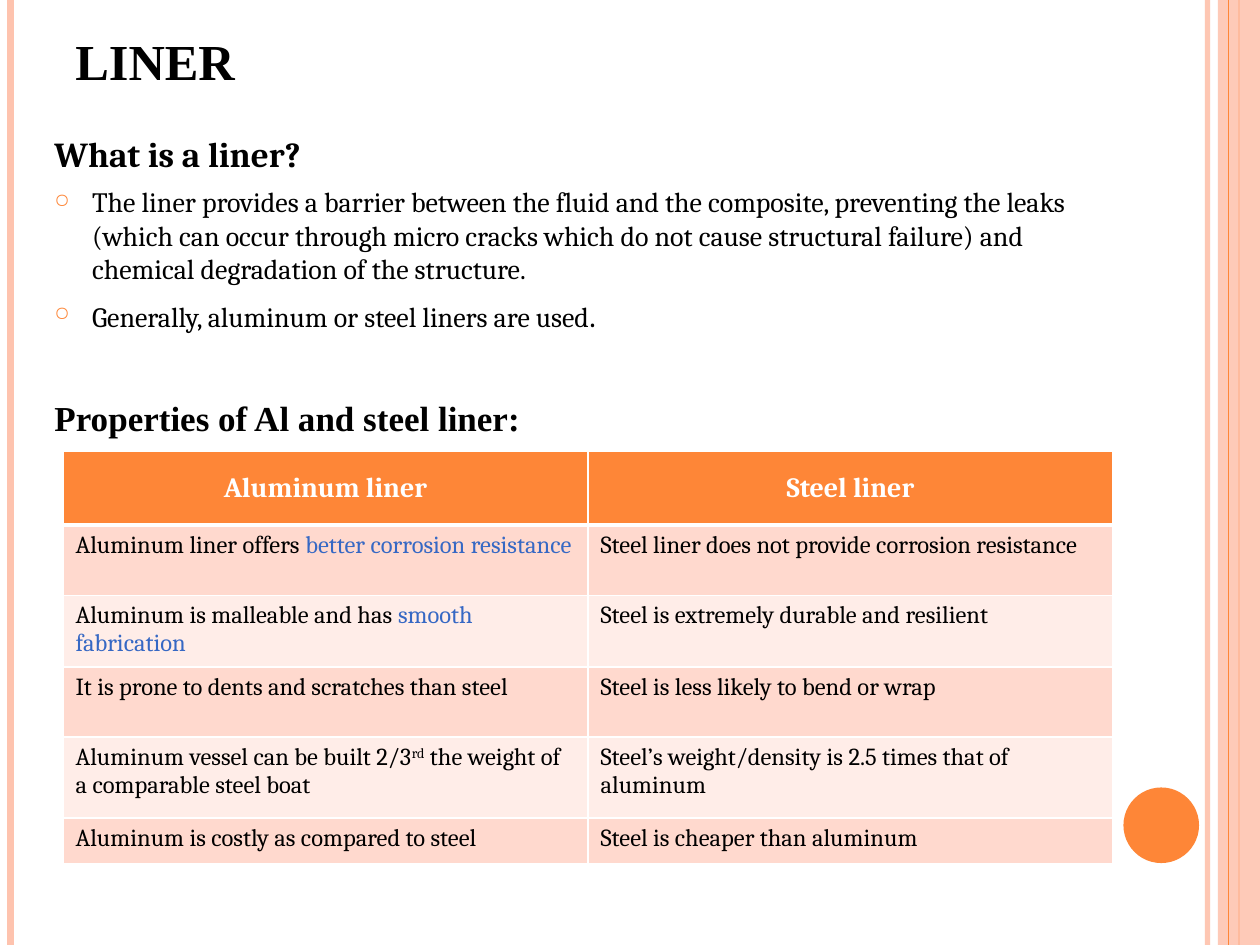
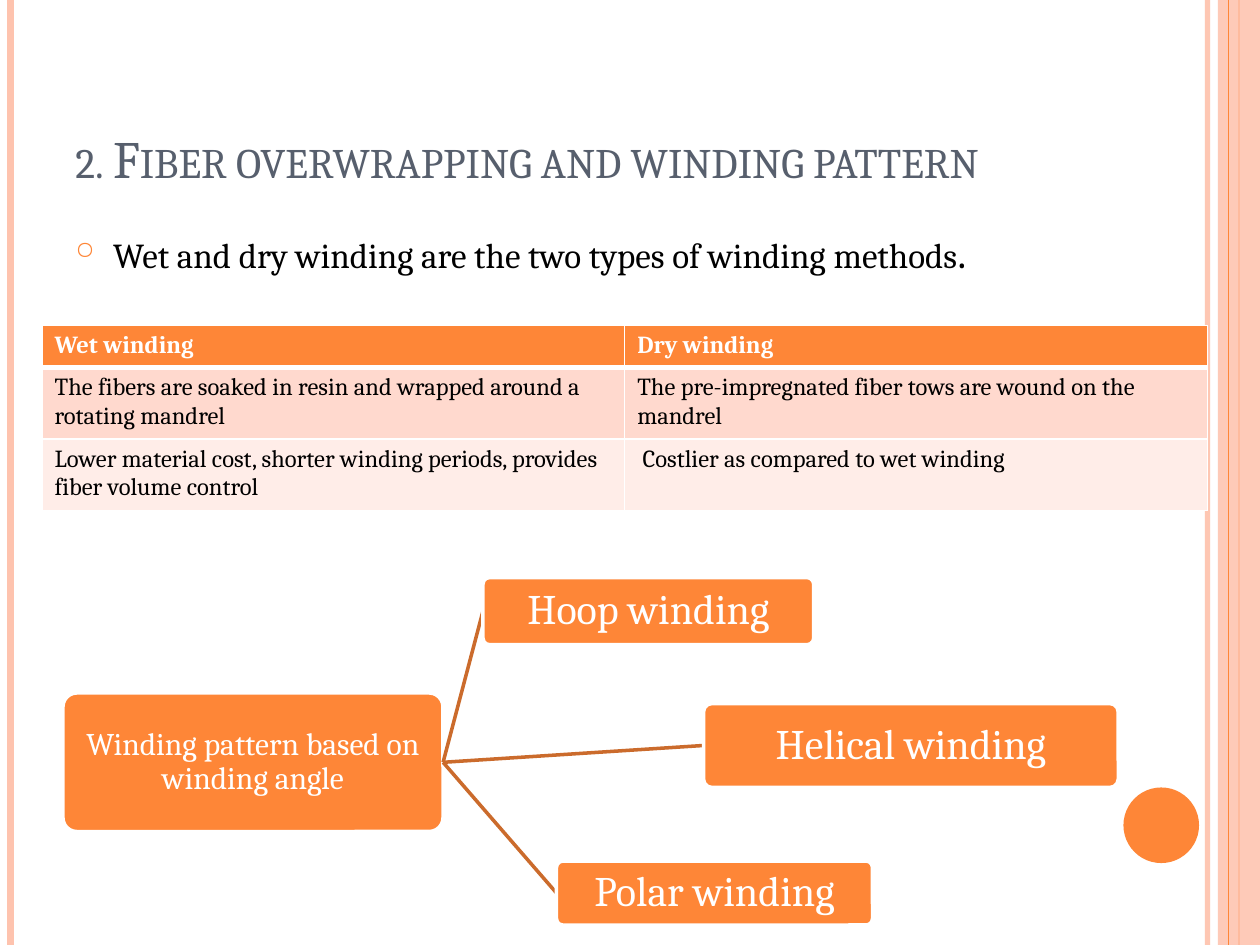
from dataclasses import dataclass

from lxml import etree
from pptx import Presentation, util as u
from pptx.dml.color import RGBColor
from pptx.enum import shapes, text
from pptx.oxml.ns import qn

COLS, ROWS = 120, 90


@dataclass(frozen=True)
class Theme:
    main: str = "FE8637"
    pale: str = "FEC3AE"
    wire: str = "CB6B2C"
    ink: str = "000000"
    slate: str = "575F6D"
    blue: str = "3668C4"
    white: str = "FFFFFF"
    bands: tuple = ("FFEDE8", "FFD9CE")
    face: str = "Cambria"
    roman: str = "Times New Roman"
    cell: int = 14
    body: int = 16
    note: int = 18
    head: int = 20
    large: int = 24
    title: int = 30
    top: int = 36


def tag(parent, name, **attrs):
    return etree.SubElement(parent, qn(name), **attrs)


def fade(item, share):
    """Make the colour of a shape or line partly opaque, in percent."""
    tint = next(item._element.iter(qn("a:srgbClr")))
    tag(tint, "a:alpha", val=str(share * 1000))


class Deck:
    """Holds the theme and the current slide; lengths are grid columns and rows."""

    def __init__(self, theme):
        self.theme = theme
        self.prs = Presentation()
        self.prs.slide_width, self.prs.slide_height = u.Inches(10), u.Inches(7.5)
        self.slide = None

    def x(self, cols):
        return u.Emu(round(self.prs.slide_width * cols / COLS))

    def y(self, rows):
        return u.Emu(round(self.prs.slide_height * rows / ROWS))

    def area(self, left, top, width, height):
        return self.x(left), self.y(top), self.x(width), self.y(height)

    def page(self):
        t = self.theme
        self.slide = self.prs.slides.add_slide(self.prs.slide_layouts[6])
        fade(self.rule(115, t.pale, 3), 93)
        self.rule(1, t.pale, 4.5)
        self.rule(118, t.main, 1.5)
        fade(self.shape(shapes.MSO_SHAPE.RECTANGLE, (116, 0, 4, ROWS), t.pale), 87)
        self.rule(117, t.main, 0.75)
        self.shape(shapes.MSO_SHAPE.OVAL, (107, 75, 7.2, 7.2), t.main)

    def line(self, start, end, color, width):
        line = self.slide.shapes.add_connector(
            shapes.MSO_CONNECTOR.STRAIGHT, self.x(start[0]), self.y(start[1]),
            self.x(end[0]), self.y(end[1]))
        line.line.color.rgb = RGBColor.from_string(color)
        line.line.width = u.Pt(width)
        tag(line._element.spPr, "a:effectLst")
        return line

    def rule(self, col, color, width):
        return self.line((col, 0), (col, ROWS), color, width)

    def shape(self, kind, area, fill, edge=None):
        item = self.slide.shapes.add_shape(kind, *self.area(*area))
        item.shadow.inherit = False
        item.fill.solid()
        item.fill.fore_color.rgb = RGBColor.from_string(fill)
        if edge:
            item.line.color.rgb = RGBColor.from_string(edge)
            item.line.width = u.Pt(2)
        else:
            item.line.fill.background()
        return item

    def style(self, font, size=None, color=None, bold=None, face=None):
        if size:
            font.size = u.Pt(size)
        if color:
            font.color.rgb = RGBColor.from_string(color)
        if bold is not None:
            font.bold = bold
        if face:
            font.name = face

    def put(self, para, parts, size, color=None, bold=False, face=None):
        """Fill a paragraph; parts is a string or (text, changes) pairs."""
        t = self.theme
        self.style(para.font, size, color or t.ink, bold, face or t.face)
        pairs = [(parts, {})] if isinstance(parts, str) else parts
        for words, changes in pairs:
            run = para.add_run()
            run.text = words
            attrs = run._r.get_or_add_rPr()
            for key in ("cap", "baseline"):
                if key in changes:
                    attrs.set(key, changes[key])
            self.style(run.font, **{k: v for k, v in changes.items()
                                    if k not in ("cap", "baseline")})

    def frame(self, area):
        frame = self.slide.shapes.add_textbox(*self.area(*area)).text_frame
        frame.word_wrap = True
        return frame

    def title(self, words, area, **look):
        frame = self.frame(area)
        frame.vertical_anchor = text.MSO_ANCHOR.BOTTOM
        self.put(frame.paragraphs[0], [(words, {"cap": "small"})], **look)

    def bullet(self, para):
        props = para._p.get_or_add_pPr()
        indent = u.Inches(0.3)
        props.set("marL", str(indent))
        props.set("indent", str(-indent))
        tag(tag(props, "a:buClr"), "a:srgbClr", val=self.theme.main)
        tag(props, "a:buSzPct", val="70000")
        tag(props, "a:buChar", char="○")

    def body(self, area, items):
        """Set (parts, bulleted, space before, look) items as paragraphs."""
        frame = self.frame(area)
        for i, (parts, dot, gap, look) in enumerate(items):
            para = frame.add_paragraph() if i else frame.paragraphs[0]
            para.space_before = u.Pt(gap)
            if dot:
                self.bullet(para)
            self.put(para, parts, **look)

    def border(self, cell, row):
        props = cell._tc.get_or_add_tcPr()
        thick = {"a:lnB": row == 0, "a:lnT": row == 1}
        for side in ("a:lnL", "a:lnR", "a:lnT", "a:lnB"):
            width = u.Pt(3 if thick.get(side) else 1)
            edge = tag(props, side, w=str(width))
            tag(tag(edge, "a:solidFill"), "a:srgbClr", val=self.theme.white)

    def table(self, left, top, width, heights, rows, size, centred=False):
        t = self.theme
        count = len(rows[0])
        grid = self.slide.shapes.add_table(
            len(rows), count, *self.area(left, top, width, sum(heights))).table
        grid.horz_banding = False
        for col in grid.columns:
            col.width = self.x(width / count)
        for r, (height, row) in enumerate(zip(heights, rows)):
            grid.rows[r].height = self.y(height)
            for c, parts in enumerate(row):
                cell = grid.cell(r, c)
                self.border(cell, r)
                cell.fill.solid()
                cell.fill.fore_color.rgb = RGBColor.from_string(
                    t.bands[r % 2] if r else t.main)
                para = cell.text_frame.paragraphs[0]
                if r:
                    self.put(para, parts, t.cell)
                    continue
                self.put(para, parts, size, t.white, True)
                if centred:
                    para.alignment = text.PP_ALIGN.CENTER
                    cell.vertical_anchor = text.MSO_ANCHOR.MIDDLE

    def box(self, words, area, size):
        t = self.theme
        item = self.shape(shapes.MSO_SHAPE.ROUNDED_RECTANGLE, area, t.main, t.white)
        item.adjustments[0] = 0.1
        frame = item.text_frame
        frame.word_wrap = True
        frame.vertical_anchor = text.MSO_ANCHOR.MIDDLE
        frame.margin_left = frame.margin_right = u.Inches(0.04)
        frame.margin_top = frame.margin_bottom = u.Inches(0.04)
        para = frame.paragraphs[0]
        para.alignment = text.PP_ALIGN.CENTER
        para.line_spacing = 0.9
        self.put(para, words, size, t.white)
        return item

    def tree(self, root, leaves):
        """Join a root box to each leaf box, with the lines under the leaves."""
        t = self.theme
        trunk = self.box(*root, t.note)
        for words, area in leaves:
            wire = self.line((0, 0), area[:2], t.wire, 2)
            wire.begin_connect(trunk, 3)
            wire.end_connect(self.box(words, area, t.large), 1)


def liner(deck):
    t = deck.theme
    deck.page()
    deck.title("liner", (6, -0.5, 98, 10), size=t.top, bold=True, face=t.roman)
    head, plain = {"size": t.head, "bold": True}, {"size": t.body}
    deck.body((4, 12, 105, 78), [
        ("What is a liner?", False, 6, head),
        ("The liner provides a barrier between the fluid and the composite, "
         "preventing the leaks (which can occur through micro cracks which do not "
         "cause structural failure) and chemical degradation of the structure.",
         True, 6, plain),
        ([("Generally, aluminum or steel liners are used", {}),
          (".", {"size": t.note})], True, 6, plain),
        ("Properties of Al and steel liner:", False, 36, {**head, "face": t.roman}),
    ])
    blue = {"color": t.blue}
    deck.table(6, 43, 100, (7, 6.7, 6.7, 6.7, 7.7, 4.4), [
        ("Aluminum liner", "Steel liner"),
        ([("Aluminum liner offers ", {}), ("better corrosion resistance", blue)],
         "Steel liner does not provide corrosion resistance"),
        ([("Aluminum is malleable and has ", {}), ("smooth fabrication", blue)],
         "Steel is extremely durable and resilient"),
        ("It is prone to dents and scratches than steel",
         "Steel is less likely to bend or wrap"),
        ([("Aluminum vessel can be built 2/3", {}), ("rd", {"baseline": "30000"}),
          (" the weight of a comparable steel boat", {})],
         "Steel’s weight/density is 2.5 times that of aluminum"),
        ("Aluminum is costly as compared to steel", "Steel is cheaper than aluminum"),
    ], t.body, centred=True)


def winding(deck):
    t = deck.theme
    deck.page()
    deck.title("2. Fiber overwrapping and winding pattern", (6, 3.6, 98, 15),
               size=t.title, color=t.slate)
    deck.body((6, 21, 98, 64), [
        ([("Wet and dry winding are the two types of winding methods", {}),
          (".", {"size": t.large})], True, 6, {"size": t.head}),
    ])
    deck.table(4, 31, 111, (3.8, 6.6, 6.6), [
        ("Wet winding", "Dry winding"),
        ("The fibers are soaked in resin and wrapped around a rotating mandrel",
         "The pre-impregnated fiber tows are wound on the mandrel"),
        ("Lower material cost, shorter winding periods, provides fiber volume control",
         " Costlier as compared to wet winding"),
    ], t.cell)
    deck.tree(("Winding pattern based on winding angle", (6, 66, 36.2, 13.2)), [
        ("Hoop winding", (46, 55, 31.5, 6.4)),
        ("Helical winding", (67, 67, 39.5, 8)),
        ("Polar winding", (53, 82, 30.1, 6.1)),
    ])


def main():
    deck = Deck(Theme())
    liner(deck)
    winding(deck)
    deck.prs.save("out.pptx")


if __name__ == "__main__":
    main()
